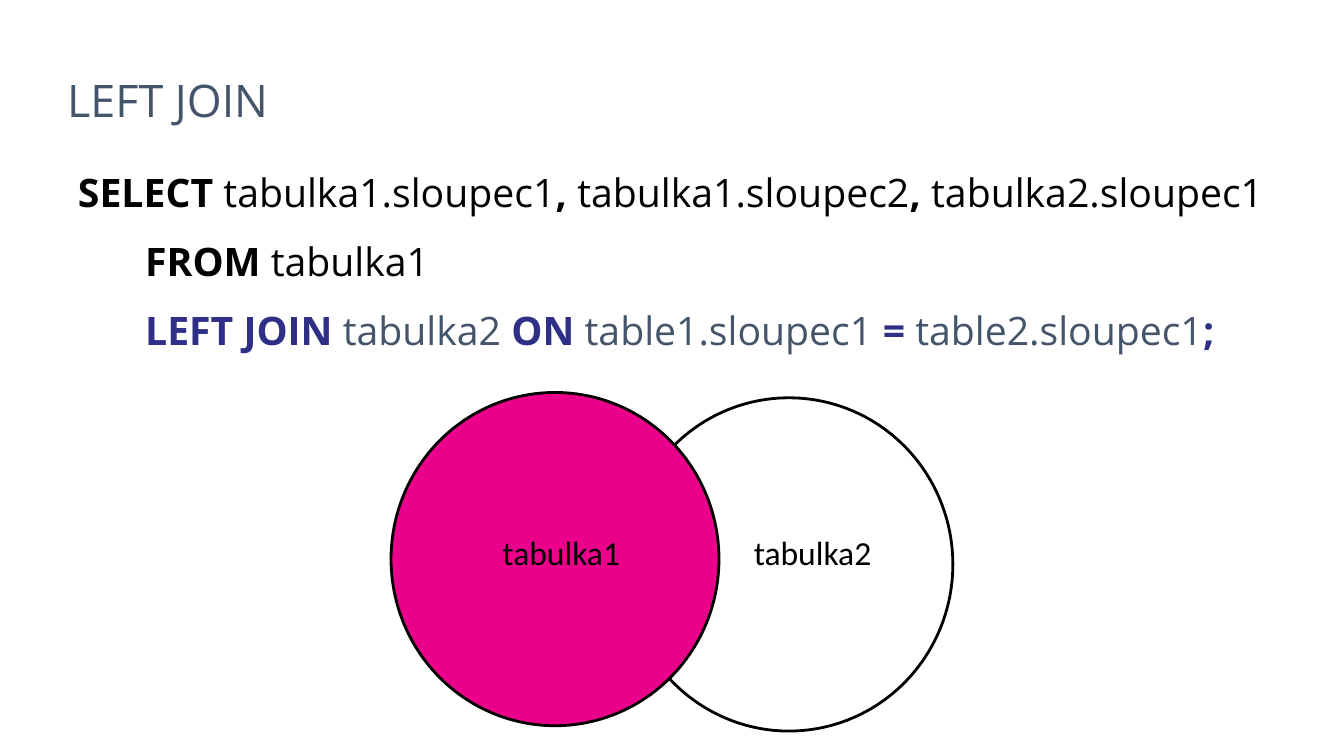
from typing import NamedTuple

from pptx import Presentation
from pptx.dml.color import RGBColor as Rgb
from pptx.enum.shapes import MSO_SHAPE as Shape
from pptx.enum.text import MSO_ANCHOR as Anchor
from pptx.util import Inches, Pt

HUES = {
    "black": "000000",
    "white": "FFFFFF",
    "pink": "EB008B",
    "navy": "2E2F86",
    "slate": "44546A",
}


class Run(NamedTuple):
    text: str
    hue: str = "black"
    bold: bool = False


class Line(NamedTuple):
    runs: list[Run]
    indent: float = 0


class Box(NamedTuple):
    left: float
    top: float
    width: float
    height: float


class Style(NamedTuple):
    font: str
    size: float
    inset: tuple[float, float, float, float]
    space: float = 1
    before: float = 0


class Disc(NamedTuple):
    left: float
    top: float
    fill: str


class Label(NamedTuple):
    left: float
    name: str


TITLE = Style("Open Sans", 24, (0, 0, 0.1, 0.1), 1.15)
CODE = Style("Open Sans", 21, (0, 0, 0, 0), 1.15, 8)
LABEL = Style("Calibri", 18, (0.1, 0.1, 0.1, 0.1))

QUERY = [
    Line([
        Run("SELECT ", bold=True),
        Run("tabulka1.sloupec1"),
        Run(",", bold=True),
        Run(" tabulka1.sloupec2"),
        Run(", ", bold=True),
        Run("tabulka2.sloupec1"),
    ]),
    Line([Run("FROM ", bold=True), Run("tabulka1")], 0.5),
    Line([
        Run("LEFT JOIN ", "navy", True),
        Run("tabulka2 ", "slate"),
        Run("ON ", "navy", True),
        Run("table1.sloupec1 ", "slate"),
        Run("= ", "navy", True),
        Run("table2.sloupec1", "slate"),
        Run(";", "navy", True),
    ], 0.5),
]

DISCS = [Disc(4.65, 2.96, "white"), Disc(2.91, 2.92, "pink")]
LABELS = [Label(3.64, "tabulka1"), Label(5.51, "tabulka2")]


def color(hue: str) -> Rgb:
    return Rgb.from_string(HUES[hue])


def add_text(slide, box: Box, lines: list[Line], style: Style) -> None:
    frame = slide.shapes.add_textbox(*map(Inches, box)).text_frame
    frame.word_wrap = True
    frame.vertical_anchor = Anchor.TOP
    (frame.margin_left, frame.margin_top,
     frame.margin_right, frame.margin_bottom) = map(Inches, style.inset)
    for i, line in enumerate(lines):
        para = frame.add_paragraph() if i else frame.paragraphs[0]
        para.line_spacing = style.space
        if i:
            para.space_before = Pt(style.before)
        if line.indent:
            props = para._p.get_or_add_pPr()
            props.set("marL", "0")
            props.set("indent", str(Inches(line.indent)))
        for part in line.runs:
            run = para.add_run()
            run.text = part.text
            run.font.name = style.font
            run.font.size = Pt(style.size)
            run.font.bold = part.bold
            run.font.color.rgb = color(part.hue)


def add_disc(slide, disc: Disc) -> None:
    box = Box(disc.left, disc.top, 2.44, 2.48)
    oval = slide.shapes.add_shape(Shape.OVAL, *map(Inches, box))
    oval.shadow.inherit = False
    oval.fill.solid()
    oval.fill.fore_color.rgb = color(disc.fill)
    oval.line.color.rgb = color("black")
    oval.line.width = Pt(1.5)


def main() -> None:
    deck = Presentation()
    deck.slide_width = Inches(10)
    deck.slide_height = Inches(10 * 9 / 16)
    slide = deck.slides.add_slide(deck.slide_layouts[6])
    add_text(slide, Box(0.58, 1.2, 9.01, 3.8), QUERY, CODE)
    add_text(slide, Box(0.5, 0.48, 9.01, 0.5),
             [Line([Run("LEFT JOIN", "slate")])], TITLE)
    for disc in DISCS:
        add_disc(slide, disc)
    for label in LABELS:
        add_text(slide, Box(label.left, 3.86, 1.19, 0.61),
                 [Line([Run(label.name)])], LABEL)
    deck.save("out.pptx")


if __name__ == "__main__":
    main()
